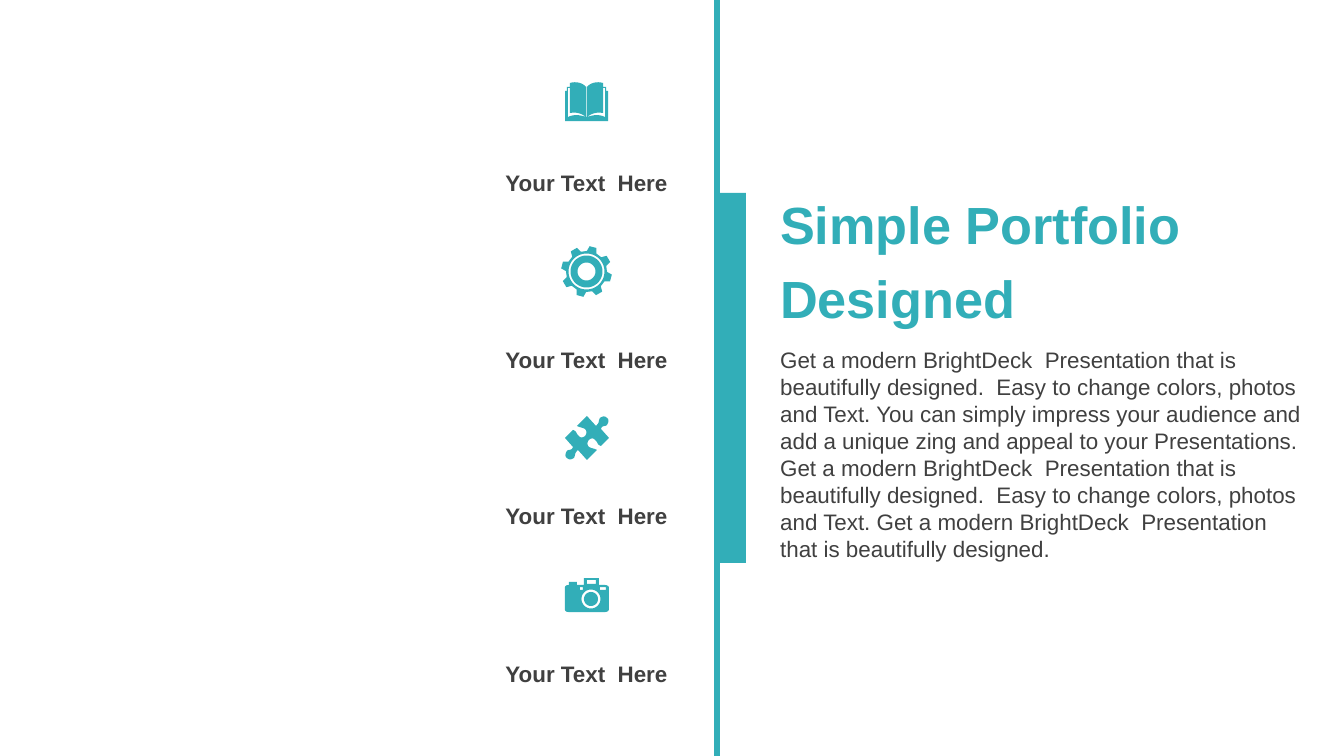
from math import cos, radians, sin

from pptx import Presentation
from pptx.dml.color import RGBColor
from pptx.enum.shapes import MSO_SHAPE
from pptx.enum.text import PP_ALIGN
from pptx.util import Emu, Pt

SCALE = 9144000 / 1344
WIDTH, HEIGHT = 1344, 756
TEAL, GREY, FONT = "32AEB8", "404040", "Arial"

BARS = [(714, 0, 6, HEIGHT), (720, 193, 26, 370)]
LABEL = "Your Text  Here"
LABEL_TOPS = [162, 339, 496, 654]
TITLE = ["Simple Portfolio ", "Designed"]
BODY = (
    "Get a modern BrightDeck  Presentation that is beautifully designed.  "
    "Easy to change colors, photos and Text. You can simply impress your "
    "audience and add a unique zing and appeal to your Presentations. "
    "Get a modern BrightDeck  Presentation that is beautifully designed.  "
    "Easy to change colors, photos and Text. "
    "Get a modern BrightDeck  Presentation that is beautifully designed. "
)

# Two numbers are a corner; six are a cubic curve.
BOOK_COVER = [(587, 87), (590, 83, 597, 81, 603, 83), (603, 87), (606, 87),
              (606, 91), (608, 91), (608, 121), (587, 121)]
BOOK_MARGIN = [(587, 117), (592, 113, 597, 112, 603, 113), (603, 88),
               (605, 88), (605, 117), (599, 114, 593, 115, 587, 117)]
BOOK_SPINE = (586, 87, 587, 117)
PUZZLE_HALF = [
    (607, 418), (609, 419, 609, 422, 607, 425), (605, 427, 602, 425, 601, 429),
    (609, 438), (601, 446), (597, 445, 598, 442, 595, 440),
    (594, 438, 591, 438, 589, 440), (587, 442, 587, 445, 589, 447),
    (593, 449, 593, 448, 597, 450), (587, 460), (578, 450),
    (574, 454, 576, 454, 574, 458), (571, 460, 569, 460, 567, 458)]
CAMERA_BODY = [
    (565, 588), (565, 586, 566, 585, 569, 585), (569, 582), (577, 582),
    (577, 585), (584, 585), (584, 578), (599, 578), (599, 585), (605, 585),
    (607, 585, 609, 586, 609, 588), (609, 609), (609, 611, 607, 612, 605, 612),
    (569, 612), (566, 612, 565, 611, 565, 609)]
CAMERA_WINDOWS = [(580, 587, 583, 590), (600, 587, 606, 590), (587, 580, 596, 584)]


def px(length):
    """Turn picture pixels into EMU."""
    return Emu(round(length * SCALE))


def color(value):
    """Turn a hex string into a colour."""
    return RGBColor.from_string(value)


def flatten(steps, parts=8):
    """Turn corners and cubic curves into a list of points."""
    points = []
    for step in steps:
        if len(step) == 2:
            points.append(step)
            continue
        nodes = [points[-1], step[:2], step[2:4], step[4:]]
        for t in (part / parts for part in range(1, parts + 1)):
            weights = ((1 - t) ** 3, 3 * t * (1 - t) ** 2, 3 * t * t * (1 - t), t ** 3)
            points.append(tuple(sum(w * node[axis] for w, node in zip(weights, nodes))
                                for axis in (0, 1)))
    return points


def polar(x, y, radius, degrees):
    """Give the point at a clockwise angle from the top."""
    return x + radius * sin(radians(degrees)), y - radius * cos(radians(degrees))


def circle(x, y, radius):
    """Give the outline of a circle."""
    return [polar(x, y, radius, degrees) for degrees in range(0, 360, 10)]


def rectangle(left, top, right, bottom):
    """Give the outline of a rectangle."""
    return [(left, top), (right, top), (right, bottom), (left, bottom)]


def book():
    """Give the outlines of an open book, mirrored about its spine."""
    def mirror(points):
        return [(1173 - x, y) for x, y in reversed(points)]

    cover, margin = flatten(BOOK_COVER), flatten(BOOK_MARGIN)
    return [cover + mirror(cover), margin, mirror(margin), rectangle(*BOOK_SPINE)]


def gear(x=586.5, y=271.5, teeth=8):
    """Give the outlines of a gear with a ring inside."""
    corners = [(20.5, -14), (25.5, -8), (25.5, 8), (20.5, 14)]
    rim = [polar(x, y, radius, 15 + tooth * 360 / teeth + offset)
           for tooth in range(teeth) for radius, offset in corners]
    return [rim] + [circle(x, y, radius) for radius in (18, 16, 9)]


def puzzle():
    """Give the outline of a puzzle piece, one half turned to make the other."""
    half = flatten(PUZZLE_HALF)
    return [half + [(1174 - x, 876 - y) for x, y in half]]


def camera():
    """Give the outlines of a camera with its windows and lens."""
    return ([flatten(CAMERA_BODY)] + [rectangle(*window) for window in CAMERA_WINDOWS]
            + [circle(591, 599, radius) for radius in (9.5, 7)])


def paint(shape):
    """Fill a shape plainly in teal."""
    shape.shadow.inherit = False
    shape.fill.solid()
    shape.fill.fore_color.rgb = color(TEAL)
    shape.line.fill.background()


def add_icon(page, outlines):
    """Draw outlines as one shape; inner outlines become holes."""
    contours = [[(px(x), px(y)) for x, y in outline] for outline in outlines]
    builder = page.shapes.build_freeform(*contours[0][0], scale=1.0)
    for index, contour in enumerate(contours):
        if index:
            builder.move_to(*contour[0])
        builder.add_line_segments(contour[1:], close=True)
    paint(builder.convert_to_shape())


def add_text(page, place, lines, size, ink, bold=False, align=PP_ALIGN.LEFT, before=0):
    """Add a wrapped text box with one paragraph for each line."""
    box = page.shapes.add_textbox(*map(px, place))
    frame = box.text_frame
    frame.word_wrap = True
    for index, line in enumerate(lines):
        para = frame.paragraphs[0] if index == 0 else frame.add_paragraph()
        para.alignment = align
        para.space_before = Pt(before)
        span = para.add_run()
        span.text = line
        span.font.name, span.font.size, span.font.bold = FONT, Pt(size), bold
        span.font.color.rgb = color(ink)


deck = Presentation()
deck.slide_width, deck.slide_height = px(WIDTH), px(HEIGHT)
page = deck.slides.add_slide(deck.slide_layouts[6])

for bar in BARS:
    paint(page.shapes.add_shape(MSO_SHAPE.RECTANGLE, *map(px, bar)))
for outlines in (book(), gear(), puzzle(), camera()):
    add_icon(page, outlines)
for top in LABEL_TOPS:
    add_text(page, (479, top, 215, 41), [LABEL], 12, GREY, True, PP_ALIGN.CENTER)
add_text(page, (767, 186, 508, 142), TITLE, 28, TEAL, True, before=5.6)
add_text(page, (767, 340, 550, 231), [BODY], 12, GREY)

deck.save("out.pptx")
